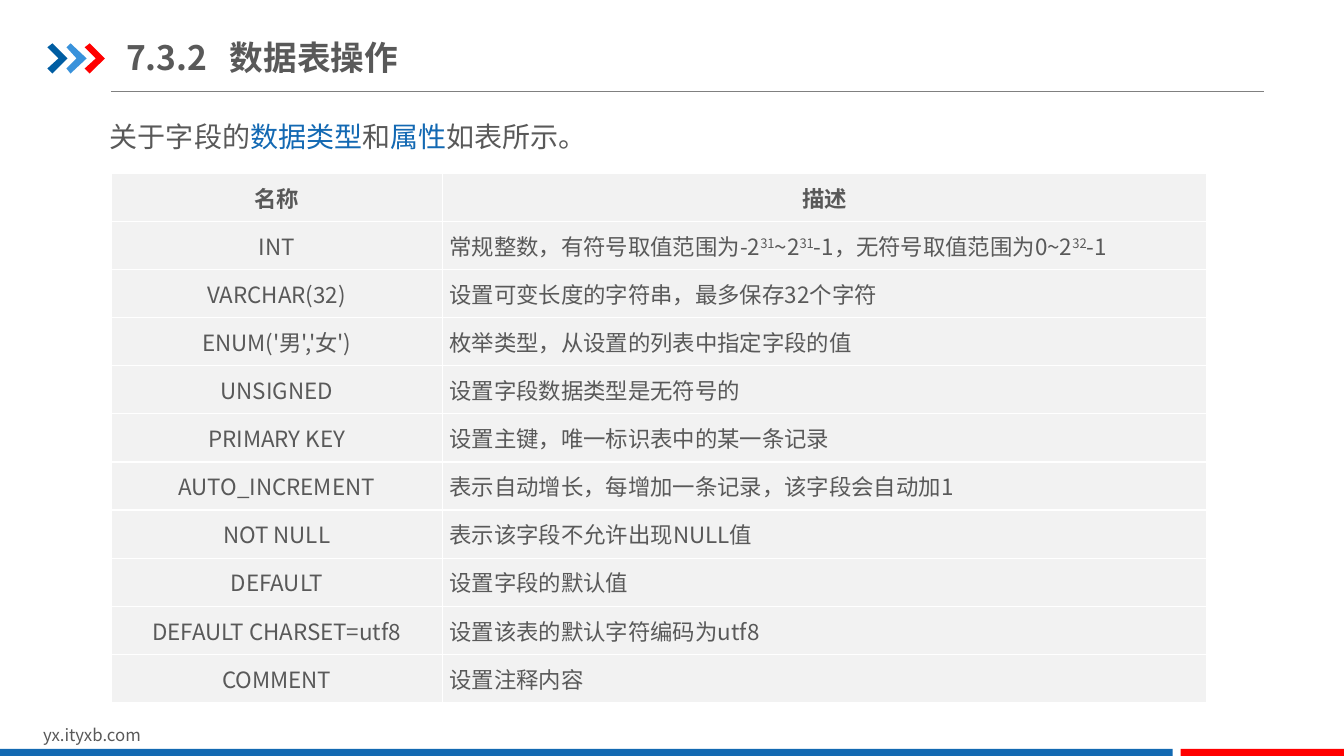
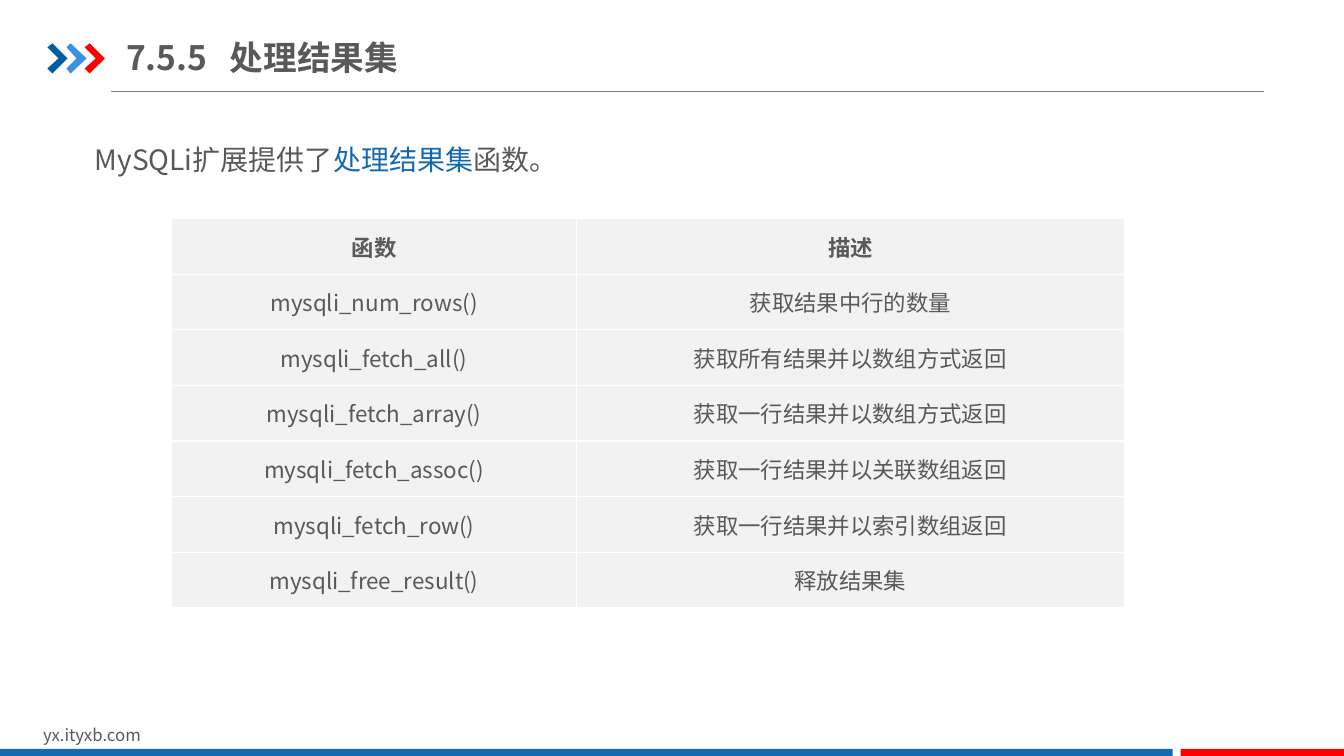
from dataclasses import dataclass

from lxml import etree
from pptx import Presentation
from pptx import util as u
from pptx.dml.color import RGBColor
from pptx.enum import shapes, text
from pptx.oxml import ns

FONT = "Noto Sans CJK SC"
COLORS = {
    "text": "595959",
    "accent": "1369B3",
    "bar": "1369B2",
    "navy": "005DA2",
    "sky": "3992DB",
    "red": "FF0000",
    "rule": "808080",
    "cell": "F2F2F2",
    "border": "FFFFFF",
}
SLIDE_WIDTH, SLIDE_HEIGHT = 13.33, 7.5
CENTER, JUSTIFY = text.PP_ALIGN.CENTER, text.PP_ALIGN.JUSTIFY


@dataclass(frozen=True)
class Span:
    text: str
    color: str = "text"
    raised: bool = False


@dataclass(frozen=True)
class Box:
    left: float
    top: float
    width: float
    height: float

    def lengths(self) -> list:
        return [u.Inches(v) for v in (self.left, self.top, self.width, self.height)]


@dataclass(frozen=True)
class Grid:
    left: float
    top: float
    columns: tuple
    height: float
    rows: list
    description_align: text.PP_ALIGN


@dataclass(frozen=True)
class Topic:
    number: str
    name: str
    lead: list
    lead_box: Box
    lead_spacing: float
    grid: Grid


# Text helpers
def child(parent, tag: str, **attributes: str):
    element = etree.SubElement(parent, ns.qn(tag))
    for key, value in attributes.items():
        element.set(key, value)
    return element


def add_spans(para, spans: list, size: float, bold: bool = False) -> None:
    for span in spans:
        run = para.add_run()
        run.text = span.text
        font = run.font
        font.size, font.bold, font.name = u.Pt(size), bold, FONT
        font.color.rgb = RGBColor.from_string(COLORS[span.color])
        properties = run._r.get_or_add_rPr()
        child(properties, "a:ea", typeface=FONT)
        if span.raised:
            properties.set("baseline", "30000")


def place(shape, box: Box) -> None:
    shape.left, shape.top, shape.width, shape.height = box.lengths()


def paint(shape, color: str) -> None:
    shape.shadow.inherit = False
    shape.fill.solid()
    shape.fill.fore_color.rgb = RGBColor.from_string(COLORS[color])
    shape.line.fill.background()


# Parts that every slide shares
def add_frame(page) -> None:
    rule = page.shapes.add_connector(
        shapes.MSO_CONNECTOR.STRAIGHT,
        u.Inches(1.1), u.Inches(0.91), u.Inches(12.54), u.Inches(0.91),
    )
    rule.line.color.rgb = RGBColor.from_string(COLORS["rule"])
    rule.line.width = u.Pt(0.75)
    child(rule._element.spPr, "a:effectLst")

    # Chevron outline in hundredths of an inch
    outline = [(0, 4), (5, 0), (20, 15), (5, 30), (0, 25), (11, 15)]
    chevrons = page.shapes.add_group_shape().shapes
    for index, color in enumerate(("navy", "sky", "red")):
        points = [(47 + 18.5 * index + x, 43 + y) for x, y in outline]
        builder = chevrons.build_freeform(*points[0], scale=u.Inches(0.01))
        builder.add_line_segments(points[1:], close=True)
        paint(builder.convert_to_shape(), color)

    footer = page.shapes.add_textbox(*Box(0.33, 7.14, 3.18, 0.3).lengths())
    footer.text_frame.word_wrap = True
    add_spans(footer.text_frame.paragraphs[0], [Span("yx.ityxb.com")], 12)

    bar_top = 7.43
    for left, right, color in ((0, 11.63, "bar"), (11.71, SLIDE_WIDTH, "red")):
        box = Box(left, bar_top, right - left, SLIDE_HEIGHT - bar_top)
        paint(page.shapes.add_shape(shapes.MSO_SHAPE.RECTANGLE, *box.lengths()), color)


def add_title(page, number: str, name: str) -> None:
    title = page.shapes.title
    place(title, Box(1.25, 0.29, 4.26, 0.55))
    frame = title.text_frame
    frame.auto_size = text.MSO_AUTO_SIZE.NONE
    frame.vertical_anchor = text.MSO_ANCHOR.MIDDLE
    frame.margin_left = frame.margin_right = 0
    frame.margin_top = frame.margin_bottom = u.Inches(0.07)
    para = frame.paragraphs[0]
    para.alignment = text.PP_ALIGN.LEFT
    tabs = child(para._p.get_or_add_pPr(), "a:tabLst")
    child(tabs, "a:tab", pos=str(u.Inches(1.03)), algn="l")
    add_spans(para, [Span(f"{number}\t{name}")], 24, bold=True)


def add_lead(page, topic: Topic) -> None:
    body = page.placeholders[1]
    place(body, topic.lead_box)
    body.text_frame.auto_size = text.MSO_AUTO_SIZE.NONE
    para = body.text_frame.paragraphs[0]
    properties = para._p.get_or_add_pPr()
    properties.set("marL", "0")
    properties.set("indent", "0")
    child(properties, "a:buNone")
    para.space_before = u.Pt(0)
    para.line_spacing = topic.lead_spacing
    add_spans(para, topic.lead, 20)


# Table
def style_cell(cell) -> None:
    cell.vertical_anchor = text.MSO_ANCHOR.MIDDLE
    cell.margin_left = cell.margin_right = u.Inches(0.07)
    cell.margin_top = cell.margin_bottom = 0
    properties = cell._tc.get_or_add_tcPr()
    for tag in ("a:lnL", "a:lnR", "a:lnT", "a:lnB"):
        border = child(properties, tag, w=str(u.Pt(1)))
        child(child(border, "a:solidFill"), "a:srgbClr", val=COLORS["border"])
    cell.fill.solid()
    cell.fill.fore_color.rgb = RGBColor.from_string(COLORS["cell"])


def add_grid(page, grid: Grid) -> None:
    box = Box(grid.left, grid.top, sum(grid.columns), grid.height)
    table = page.shapes.add_table(
        len(grid.rows), len(grid.columns), *box.lengths()
    ).table
    table.horz_banding = False
    for column, width in zip(table.columns, grid.columns):
        column.width = u.Inches(width)
    for row_index, row in enumerate(grid.rows):
        table.rows[row_index].height = u.Inches(grid.height / len(grid.rows))
        for column_index, content in enumerate(row):
            cell = table.cell(row_index, column_index)
            style_cell(cell)
            para = cell.text_frame.paragraphs[0]
            is_description = row_index > 0 and column_index == 1
            para.alignment = grid.description_align if is_description else CENTER
            spans = [Span(content)] if isinstance(content, str) else content
            add_spans(para, spans, 16, bold=row_index == 0)


# Slide contents
INT_RANGE = [
    Span("常规整数，有符号取值范围为-2"),
    Span("31", raised=True),
    Span("~2"),
    Span("31", raised=True),
    Span("-1，无符号取值范围为0~2"),
    Span("32", raised=True),
    Span("-1"),
]

TOPICS = [
    Topic(
        "7.3.2", "数据表操作",
        [
            Span("关于字段的"), Span("数据类型", "accent"), Span("和"),
            Span("属性", "accent"), Span("如表所示。"),
        ],
        Box(0.99, 1.14, 11.26, 0.44), 1.0,
        Grid(1.1, 1.72, (3.29, 7.58), 5.25, [
            ("名称", "描述"),
            ("INT", INT_RANGE),
            ("VARCHAR(32)", "设置可变长度的字符串，最多保存32个字符"),
            ("ENUM('男','女')", "枚举类型，从设置的列表中指定字段的值"),
            ("UNSIGNED", "设置字段数据类型是无符号的"),
            ("PRIMARY KEY", "设置主键，唯一标识表中的某一条记录"),
            ("AUTO_INCREMENT", "表示自动增长，每增加一条记录，该字段会自动加1"),
            ("NOT NULL", "表示该字段不允许出现NULL值"),
            ("DEFAULT", "设置字段的默认值"),
            ("DEFAULT CHARSET=utf8", "设置该表的默认字符编码为utf8"),
            ("COMMENT", "设置注释内容"),
        ], JUSTIFY),
    ),
    Topic(
        "7.5.5", "处理结果集",
        [Span("MySQLi扩展提供了"), Span("处理结果集", "accent"), Span("函数。")],
        Box(0.84, 1.2, 11.58, 0.61), 1.5,
        Grid(1.7, 2.17, (4.02, 5.43), 3.86, [
            ("函数", "描述"),
            ("mysqli_num_rows()", "获取结果中行的数量"),
            ("mysqli_fetch_all()", "获取所有结果并以数组方式返回"),
            ("mysqli_fetch_array()", "获取一行结果并以数组方式返回"),
            ("mysqli_fetch_assoc()", "获取一行结果并以关联数组返回"),
            ("mysqli_fetch_row()", "获取一行结果并以索引数组返回"),
            ("mysqli_free_result()", "释放结果集"),
        ], CENTER),
    ),
]


def main() -> None:
    deck = Presentation()
    deck.slide_width, deck.slide_height = u.Inches(SLIDE_WIDTH), u.Inches(SLIDE_HEIGHT)
    for topic in TOPICS:
        page = deck.slides.add_slide(deck.slide_layouts[1])
        add_frame(page)
        add_title(page, topic.number, topic.name)
        add_lead(page, topic)
        add_grid(page, topic.grid)
    deck.save("out.pptx")


if __name__ == "__main__":
    main()
